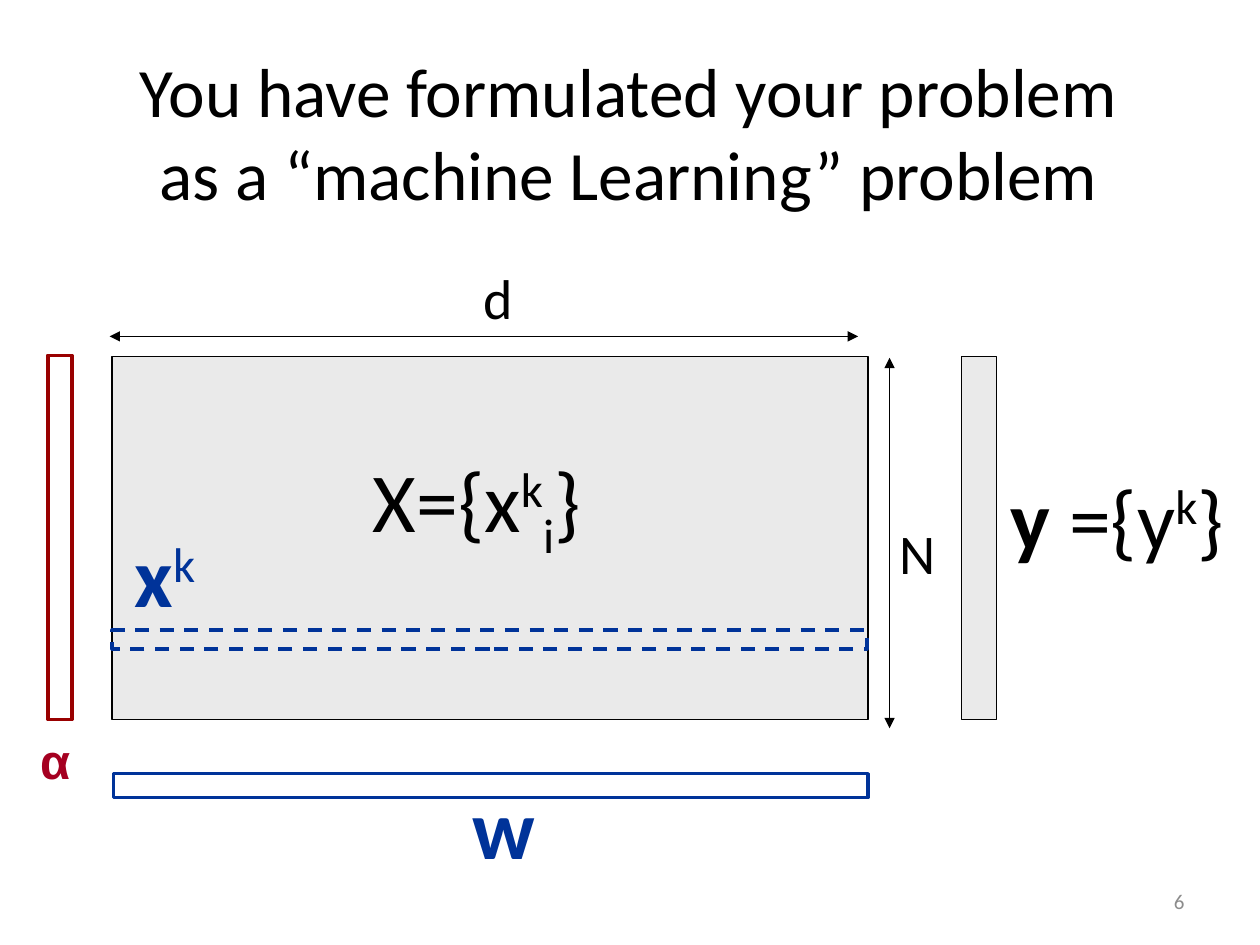
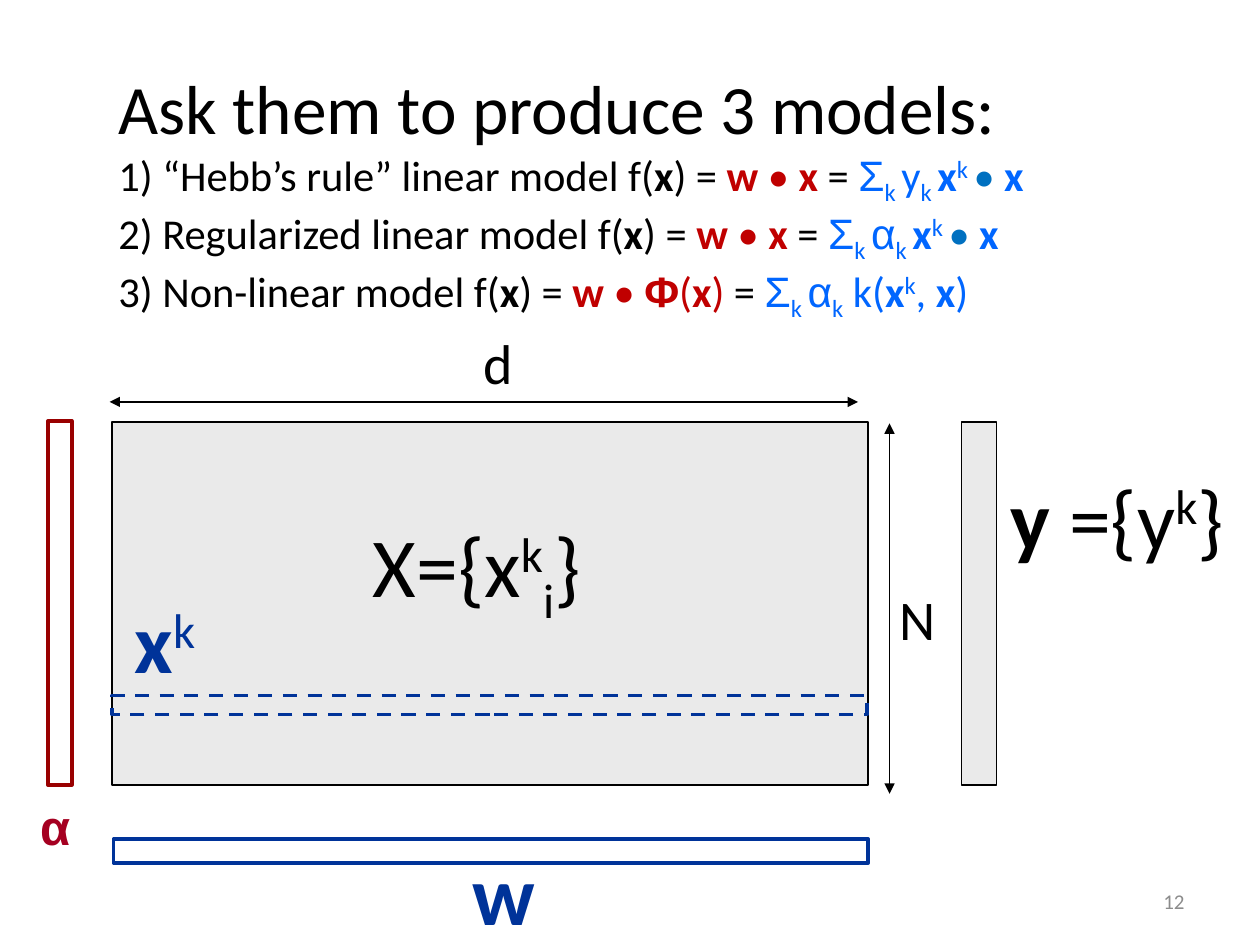
from lxml import etree
from pptx import Presentation
from pptx.dml.color import RGBColor
from pptx.enum.dml import MSO_LINE
from pptx.enum.shapes import MSO_CONNECTOR, MSO_SHAPE
from pptx.enum.text import MSO_ANCHOR, MSO_AUTO_SIZE, PP_ALIGN
from pptx.oxml.ns import qn
from pptx.util import Inches, Pt

RECTANGLE = MSO_SHAPE.RECTANGLE
STRAIGHT = MSO_CONNECTOR.STRAIGHT
DASH = MSO_LINE.DASH
MIDDLE = MSO_ANCHOR.MIDDLE
NO_AUTOFIT = MSO_AUTO_SIZE.NONE
LEFT, CENTER, RIGHT = PP_ALIGN.LEFT, PP_ALIGN.CENTER, PP_ALIGN.RIGHT

BLACK = RGBColor(0x00, 0x00, 0x00)
MATRIX_GRAY = RGBColor(0xEA, 0xEA, 0xEA)
NUMBER_GRAY = RGBColor(0x8C, 0x8C, 0x8C)
NAVY = RGBColor(0x00, 0x33, 0x99)
DARK_RED = RGBColor(0x99, 0x00, 0x00)
CRIMSON = RGBColor(0xA5, 0x00, 0x21)
PRIMAL_RED = RGBColor(0xC0, 0x00, 0x00)
DUAL_BLUE = RGBColor(0x00, 0x66, 0xFF)
DOT_BLUE = RGBColor(0x00, 0x70, 0xC0)

BODY_FONT, GREEK_FONT = "Calibri", "Arial"
HEADING_SIZE, MODEL_SIZE = 39.6, 24.3
SYMBOL_SIZE, DIMENSION_SIZE, ALPHA_SIZE, NUMBER_SIZE = 48, 32, 28, 12
THIN, THICK = Pt(0.75), Pt(2)

SLIDE_WIDTH, SLIDE_HEIGHT = Inches(10), Inches(7.5)
COLUMN, ROW = SLIDE_WIDTH / 100, SLIDE_HEIGHT / 75

BOLD = {"bold": True}
SUPERSCRIPT = {"baseline": 30}
SUBSCRIPT = {"baseline": -25}
PRIMAL = {"color": PRIMAL_RED}
DUAL = {"color": DUAL_BLUE}
GREEK = {"font": GREEK_FONT}
LINE_BREAK = ("\n", {})


def columns(count):
    return round(count * COLUMN)


def rows(count):
    return round(count * ROW)


def grid_box(left, top, width, height):
    return columns(left), rows(top), columns(width), rows(height)


def style_paragraph(paragraph, size, color=BLACK, font=BODY_FONT, align=LEFT):
    paragraph.alignment = align
    paragraph.font.size = Pt(size)
    paragraph.font.name = font
    paragraph.font.color.rgb = color


def add_runs(paragraph, runs):
    """Append (text, style) pairs; a style lists only what differs from the paragraph."""
    for text, style in runs:
        if text == "\n":
            paragraph.add_line_break()
            continue
        run = paragraph.add_run()
        run.text = text
        if "bold" in style:
            run.font.bold = style["bold"]
        if "color" in style:
            run.font.color.rgb = style["color"]
        if "font" in style:
            run.font.name = style["font"]
        if "size" in style:
            run.font.size = Pt(style["size"])
        if "baseline" in style:
            run.font._element.set("baseline", str(style["baseline"] * 1000))


def add_label(slide, box, runs, size, wrap=True, **paragraph_style):
    label = slide.shapes.add_textbox(*grid_box(*box))
    label.text_frame.word_wrap = wrap
    paragraph = label.text_frame.paragraphs[0]
    style_paragraph(paragraph, size, **paragraph_style)
    add_runs(paragraph, runs)
    return label


def add_block(slide, box, color, width, fill=None, dash=None):
    block = slide.shapes.add_shape(RECTANGLE, *grid_box(*box))
    block.shadow.inherit = False
    if fill is None:
        block.fill.background()
    else:
        block.fill.solid()
        block.fill.fore_color.rgb = fill
    block.line.color.rgb = color
    block.line.width = width
    if dash is not None:
        block.line.dash_style = dash


def add_double_arrow(slide, start, end):
    arrow = slide.shapes.add_connector(
        STRAIGHT, columns(start[0]), rows(start[1]), columns(end[0]), rows(end[1]))
    arrow.line.color.rgb = BLACK
    arrow.line.width = THIN
    line = arrow.line._get_or_add_ln()
    for end_tag in ("a:headEnd", "a:tailEnd"):
        etree.SubElement(line, qn(end_tag), type="triangle")
    etree.SubElement(arrow._element.spPr, qn("a:effectLst"))


def add_title(slide, box, runs, size, align, bottom_margin=0.5):
    title = slide.shapes.title
    title.left, title.top, title.width, title.height = grid_box(*box)
    frame = title.text_frame
    frame.auto_size = NO_AUTOFIT
    frame.word_wrap = True
    frame.vertical_anchor = MIDDLE
    frame.margin_bottom = rows(bottom_margin)
    paragraph = frame.paragraphs[0]
    style_paragraph(paragraph, size, align=align)
    add_runs(paragraph, runs)


def add_slide_number(slide, number):
    label = add_label(slide, (71.7, 69.5, 23.3, 4), [(str(number), {})],
                      NUMBER_SIZE, color=NUMBER_GRAY, align=RIGHT)
    label.text_frame.vertical_anchor = MIDDLE


def add_data_diagram(slide, box, target_label_top):
    """Draw the data matrix in box, with its dimensions, weights and targets around it."""
    left, top, width, height = box

    add_block(slide, box, BLACK, THIN, fill=MATRIX_GRAY)
    add_label(slide, (left + 19.7, top + 6.8, 32.1, 9),
              [("X={x", {}), ("k", SUPERSCRIPT), ("i", SUBSCRIPT), ("}", {})], SYMBOL_SIZE)

    add_double_arrow(slide, (left - 0.2, top - 1.6), (left + width - 0.8, top - 1.6))
    add_label(slide, (left + 28.5, top - 7.9, 4.4, 6.4), [("d", {})],
              DIMENSION_SIZE, wrap=False)
    height_x = left + width + 1.7
    add_double_arrow(slide, (height_x, top + 0.1), (height_x, top + height + 0.7))
    add_label(slide, (height_x - 0.2, top + 12.4, 4.9, 6.4), [("N", {})],
              DIMENSION_SIZE, wrap=False)

    target_left = left + width + 7.4
    add_block(slide, (target_left, top, 2.8, height), BLACK, THIN, fill=MATRIX_GRAY)
    add_block(slide, (left - 5.1, top - 0.1, 1.9, height + 0.1), DARK_RED, THICK)
    add_block(slide, (left, top + 21.7, width - 0.1, 1.5), NAVY, THICK, dash=DASH)
    add_label(slide, (left + 0.8, top + 12.8, 8.3, 9),
              [("x", BOLD), ("k", SUPERSCRIPT)], SYMBOL_SIZE, color=NAVY)
    add_label(slide, (target_left + 2.9, target_label_top, 20.8, 9),
              [("y ", BOLD), ("={y", {}), ("k", SUPERSCRIPT), ("}", {})], SYMBOL_SIZE)

    add_block(slide, (left + 0.1, top + height + 4.3, width - 0.1, 1.9), NAVY, THICK)
    add_label(slide, (left - 6.7, top + height + 0.4, 5.1, 5.7), [("α", BOLD)],
              ALPHA_SIZE, color=CRIMSON, font=GREEK_FONT)
    add_label(slide, (left + 27.6, top + height + 4, 8.3, 9), [("w", BOLD)],
              SYMBOL_SIZE, color=NAVY)


def model_start(name):
    return [LINE_BREAK, (f"{name} model f(", {}), ("x", BOLD), (") = ", {}),
            ("w ", PRIMAL | BOLD), ("• ", PRIMAL)]


def weighted_sum(coefficient, coefficient_style, gap=" "):
    return [("Σ", DUAL | GREEK), ("k ", DUAL | SUBSCRIPT),
            (coefficient, DUAL | coefficient_style), ("k" + gap, DUAL | SUBSCRIPT)]


def linear_model(name, coefficient, coefficient_style):
    return [*model_start(name), ("x", PRIMAL | BOLD), (" = ", {}),
            *weighted_sum(coefficient, coefficient_style),
            ("x", DUAL | BOLD), ("k ", DUAL | SUPERSCRIPT),
            ("• ", {"color": DOT_BLUE}), ("x", DUAL | BOLD)]


def kernel_model(name):
    return [*model_start(name), ("Φ", PRIMAL | GREEK | BOLD), ("(", PRIMAL),
            ("x", PRIMAL | BOLD), (") ", PRIMAL), ("= ", {}),
            *weighted_sum("α", GREEK, gap=""), (" k(", DUAL), ("x", DUAL | BOLD),
            ("k", DUAL | SUPERSCRIPT), (", ", DUAL), ("x", DUAL | BOLD), (")", DUAL)]


def add_diagram_slide(presentation, number, matrix_top):
    slide = presentation.slides.add_slide(presentation.slide_layouts[5])
    add_data_diagram(slide, (8.9, matrix_top, 60, 28.8), target_label_top=36.5)
    add_slide_number(slide, number)
    return slide


def main():
    presentation = Presentation()
    presentation.slide_width, presentation.slide_height = SLIDE_WIDTH, SLIDE_HEIGHT

    problem_slide = add_diagram_slide(presentation, 6, matrix_top=28.3)
    add_title(problem_slide, (7.4, 4.2, 85, 12.5),
              [("You have formulated your problem as a “machine Learning” problem", {})],
              HEADING_SIZE, CENTER)

    models_slide = add_diagram_slide(presentation, 12, matrix_top=33.5)
    add_title(models_slide, (8.4, 10.8, 85, 12.5),
              [("Ask them to produce 3 models:", {"size": HEADING_SIZE}),
               *linear_model("1) “Hebb’s rule” linear", "y", {}),
               *linear_model("2) Regularized linear", "α", GREEK),
               *kernel_model("3) Non-linear")],
              MODEL_SIZE, LEFT, bottom_margin=3.8)

    presentation.save("out.pptx")


if __name__ == "__main__":
    main()
